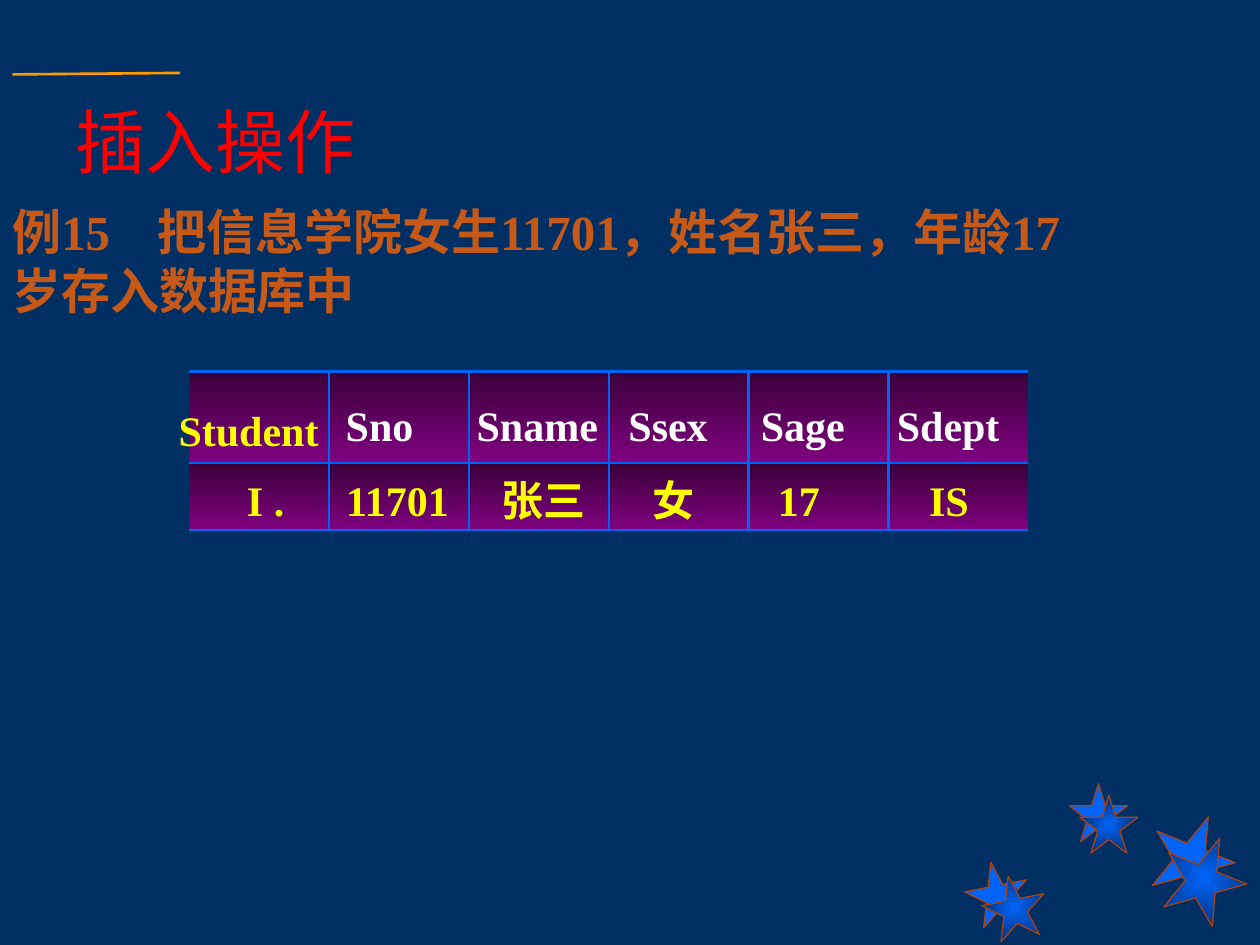
from dataclasses import dataclass

from lxml.etree import SubElement
from pptx import Presentation
from pptx.dml.color import RGBColor as Rgb
from pptx.enum.shapes import MSO_CONNECTOR as Connector, MSO_SHAPE as Shape
from pptx.enum.text import MSO_ANCHOR as Anchor, MSO_AUTO_SIZE as AutoSize
from pptx.oxml import parse_xml
from pptx.oxml.ns import nsdecls, qn
from pptx.util import Cm, Pt


@dataclass(frozen=True)
class Theme:
    font: str = "Times New Roman"
    background: str = "003063"
    title: str = "FF0000"
    example: str = "C65918"
    header: str = "FFFFFF"
    value: str = "FFFF00"
    rule: str = "FF9900"
    border: str = "0064F8"
    cell: tuple = ("3B003B", "800080")
    star: str = "0064F8"
    star_edge: str = "002E72"
    star_line: str = "A94113"
    title_size: int = 40
    example_size: int = 28
    table_size: int = 24


class SlideBuilder:
    def __init__(self, slide, theme):
        self.slide = slide
        self.theme = theme
        slide.background.fill.solid()
        slide.background.fill.fore_color.rgb = Rgb.from_string(theme.background)

    def shade(self, fill, colors):
        fill.gradient()
        for stop, color in zip(fill.gradient_stops, colors):
            stop.color.rgb = Rgb.from_string(color)

    def star(self, left, top, size, rotation, shaded):
        star = self.slide.shapes.add_shape(
            Shape.STAR_5_POINT, Cm(left), Cm(top), Cm(size), Cm(size))
        star.rotation = rotation
        star.shadow.inherit = False
        star.line.color.rgb = Rgb.from_string(self.theme.star_line)
        star.line.width = Pt(0.75)
        if not shaded:
            star.fill.solid()
            star.fill.fore_color.rgb = Rgb.from_string(self.theme.star)
            return
        self.shade(star.fill, (self.theme.star, self.theme.star_edge))
        # Radiate from the centre instead of running straight
        linear = next(star._element.iter(qn("a:lin")))
        linear.getparent().replace(linear, parse_xml(
            f'<a:path {nsdecls("a")} path="rect">'
            '<a:fillToRect l="50000" t="50000" r="50000" b="50000"/></a:path>'))

    def line(self, x1, y1, x2, y2, color, width):
        line = self.slide.shapes.add_connector(
            Connector.STRAIGHT, Cm(x1), Cm(y1), Cm(x2), Cm(y2))
        line.line.color.rgb = Rgb.from_string(color)
        line.line.width = Pt(width)
        SubElement(line._element.spPr, qn("a:effectLst"))

    def text(self, words, left, top, width, height, size, color, bold=True,
             tabs=(), inset=0.25, wrap=True, anchor=Anchor.TOP,
             auto_size=AutoSize.SHAPE_TO_FIT_TEXT, spacing=None):
        frame = self.slide.shapes.add_textbox(
            Cm(left), Cm(top), Cm(width), Cm(height)).text_frame
        frame.word_wrap = wrap
        frame.auto_size = auto_size
        frame.vertical_anchor = anchor
        frame.margin_left = Cm(inset)
        paragraph = frame.paragraphs[0]
        paragraph.text = words
        if spacing:
            paragraph.line_spacing = spacing
        if tabs:
            stops = SubElement(paragraph._p.get_or_add_pPr(), qn("a:tabLst"))
            for position in tabs:
                SubElement(stops, qn("a:tab"), pos=str(Cm(position)), algn="l")
        font = paragraph.font
        font.name = self.theme.font
        font.size = Pt(size)
        font.bold = bold
        font.color.rgb = Rgb.from_string(color)

    def border(self, cell, sides):
        properties = cell._tc.get_or_add_tcPr()
        for index, side in enumerate("LRTB"):
            paint = (f'<a:solidFill><a:srgbClr val="{self.theme.border}"/></a:solidFill>'
                     if side in sides else "<a:noFill/>")
            properties.insert(index, parse_xml(
                f'<a:ln{side} {nsdecls("a")} w="{Pt(1.47)}">{paint}</a:ln{side}>'))

    def grid(self, left, top, column_width, columns, row_heights):
        table = self.slide.shapes.add_table(
            len(row_heights), columns, Cm(left), Cm(top),
            Cm(column_width * columns), Cm(sum(row_heights))).table
        for column in table.columns:
            column.width = Cm(column_width)
        for row, height in zip(table.rows, row_heights):
            row.height = Cm(height)
            for index, cell in enumerate(row.cells):
                self.shade(cell.fill, self.theme.cell)
                cell.fill.gradient_angle = 270
                # The outer left and right edges stay open
                sides = "TB" + "L" * (index > 0) + "R" * (index < columns - 1)
                self.border(cell, sides)


def main():
    theme = Theme()
    deck = Presentation()
    deck.slide_width, deck.slide_height = Cm(25.4), Cm(19.05)
    page = SlideBuilder(deck.slides.add_slide(deck.slide_layouts[6]), theme)

    # Corner stars: plain ones behind, shaded ones in front
    plain_stars = [(19.46, 17.37, 1.27, 349), (21.56, 15.8, 1.17, 0), (23.19, 16.41, 1.7, 22)]
    shaded_stars = [(19.81, 17.65, 1.27, 349), (21.77, 16.03, 1.17, 0), (23.42, 16.84, 1.7, 22)]
    for shaded, stars in enumerate((plain_stars, shaded_stars)):
        for star in stars:
            page.star(*star, shaded=bool(shaded))

    # Title, rule and example
    page.text("插入操作", 1.27, 1.52, 24.13, 2.64, theme.title_size, theme.title,
              bold=False, anchor=Anchor.MIDDLE, auto_size=AutoSize.NONE)
    page.line(0.25, 1.5, 3.63, 1.47, theme.rule, 1.5)
    page.text("例15\t把信息学院女生11701，姓名张三，年龄17岁存入数据库中",
              0, 3.94, 22.02, 2.64, theme.example_size, theme.example, tabs=[2.93])

    # Student table with its labels laid over the cells
    page.grid(3.81, 7.49, 2.82, 6, [1.85, 1.35])
    page.text("Student", 3.35, 8.03, 3.53, 1.27, theme.table_size, theme.value, wrap=False)
    page.text("Sno\tSname\tSsex\tSage\tSdept", 6.3, 7.92, 14.4, 1.27,
              theme.table_size, theme.header, inset=0.67, tabs=[2.64, 5.7, 8.37, 11.11])
    page.text("I .\t11701\t张三\t女\t17\tIS", 4.09, 9.09, 16.59, 1.63,
              theme.table_size, theme.value, inset=0.89,
              tabs=[2, 5.13, 8.18, 10.7, 13.75], spacing=1.35)

    deck.save("out.pptx")


if __name__ == "__main__":
    main()
